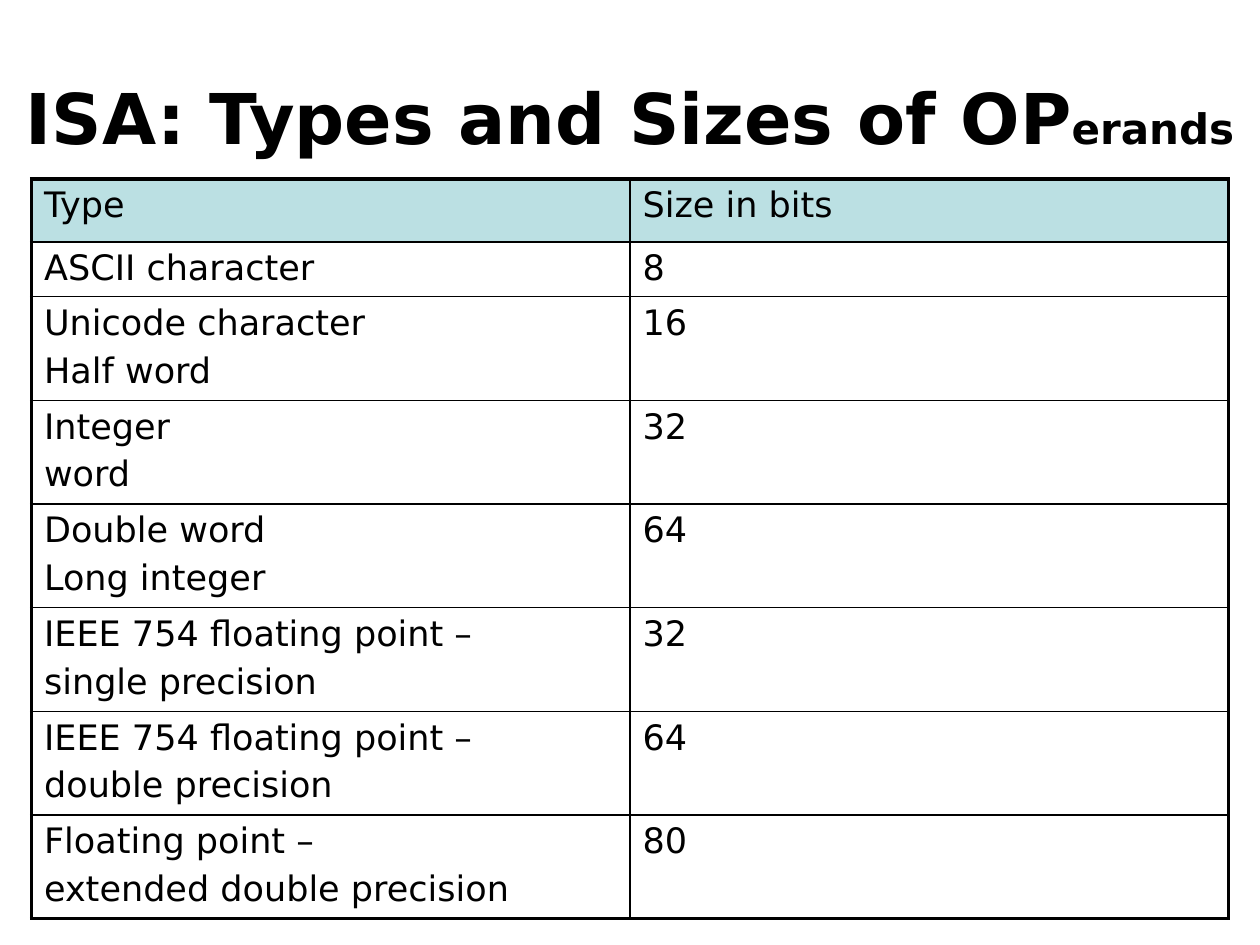
from typing import NamedTuple

from lxml.etree import SubElement
from pptx import Presentation
from pptx.dml.color import RGBColor
from pptx.enum.text import MSO_ANCHOR, PP_ALIGN
from pptx.oxml.ns import qn
from pptx.util import Inches, Pt

WIDE, HIGH = Inches(10), Inches(7.5)
FONT = "DejaVu Sans"
INK = "000000"
HEAD = "BBE0E3"
THIN, THICK = 1, 2.25


class Row(NamedTuple):
    kind: str
    size: str
    high: float = 0.82


ROWS = [
    Row("Type", "Size in bits", 0.5),
    Row("ASCII character", "8", 0.42),
    Row("Unicode character\nHalf word", "16"),
    Row("Integer\nword", "32"),
    Row("Double word\nLong integer", "64"),
    Row("IEEE 754 floating point –\nsingle precision", "32"),
    Row("IEEE 754 floating point –\ndouble precision", "64"),
    Row("Floating point –\nextended double precision", "80"),
]


def tint(code: str) -> RGBColor:
    return RGBColor.from_string(code)


def style(font, size: float, bold: bool = False) -> None:
    font.name = FONT
    font.size = Pt(size)
    font.bold = bold
    font.color.rgb = tint(INK)


def title(slide) -> None:
    box = slide.shapes.add_textbox(0, int(HIGH * 0.04), WIDE, Inches(1.25))
    frame = box.text_frame
    frame.word_wrap = True
    frame.vertical_anchor = MSO_ANCHOR.MIDDLE
    para = frame.paragraphs[0]
    para.alignment = PP_ALIGN.CENTER
    for text, size in (("ISA: Types and Sizes of OP", 40), ("erands", 24)):
        run = para.add_run()
        run.text = text
        style(run.font, size, True)


def border(cell, side: str, width: float) -> None:
    props = cell._tc.get_or_add_tcPr()
    line = SubElement(props, qn(f"a:ln{side}"), w=str(Pt(width)))
    fill = SubElement(line, qn("a:solidFill"))
    SubElement(fill, qn("a:srgbClr"), val=INK)


def write(cell, text: str) -> None:
    cell.text = text
    for num, para in enumerate(cell.text_frame.paragraphs):
        style(para.font, 20)
        if num:
            para.space_before = Pt(4)


def table(slide) -> None:
    wide = int(WIDE * 0.95)
    high = Inches(sum(row.high for row in ROWS))
    frame = slide.shapes.add_table(
        len(ROWS), 2, int(WIDE * 0.025), Inches(1.42), wide, high)
    grid = frame.table
    grid.first_row = grid.horz_banding = False
    last = len(ROWS) - 1
    for r, row in enumerate(ROWS):
        grid.rows[r].height = Inches(row.high)
        for c, text in enumerate((row.kind, row.size)):
            cell = grid.cell(r, c)
            write(cell, text)
            edges = {"L": c == 0, "R": c == 1, "T": r == 0, "B": r == last}
            for side, outer in edges.items():
                border(cell, side, THICK if outer else THIN)
            if r == 0:
                cell.fill.solid()
                cell.fill.fore_color.rgb = tint(HEAD)
            else:
                cell.fill.background()


def main() -> None:
    deck = Presentation()
    deck.slide_width, deck.slide_height = WIDE, HIGH
    slide = deck.slides.add_slide(deck.slide_layouts[6])
    title(slide)
    table(slide)
    deck.save("out.pptx")


if __name__ == "__main__":
    main()
